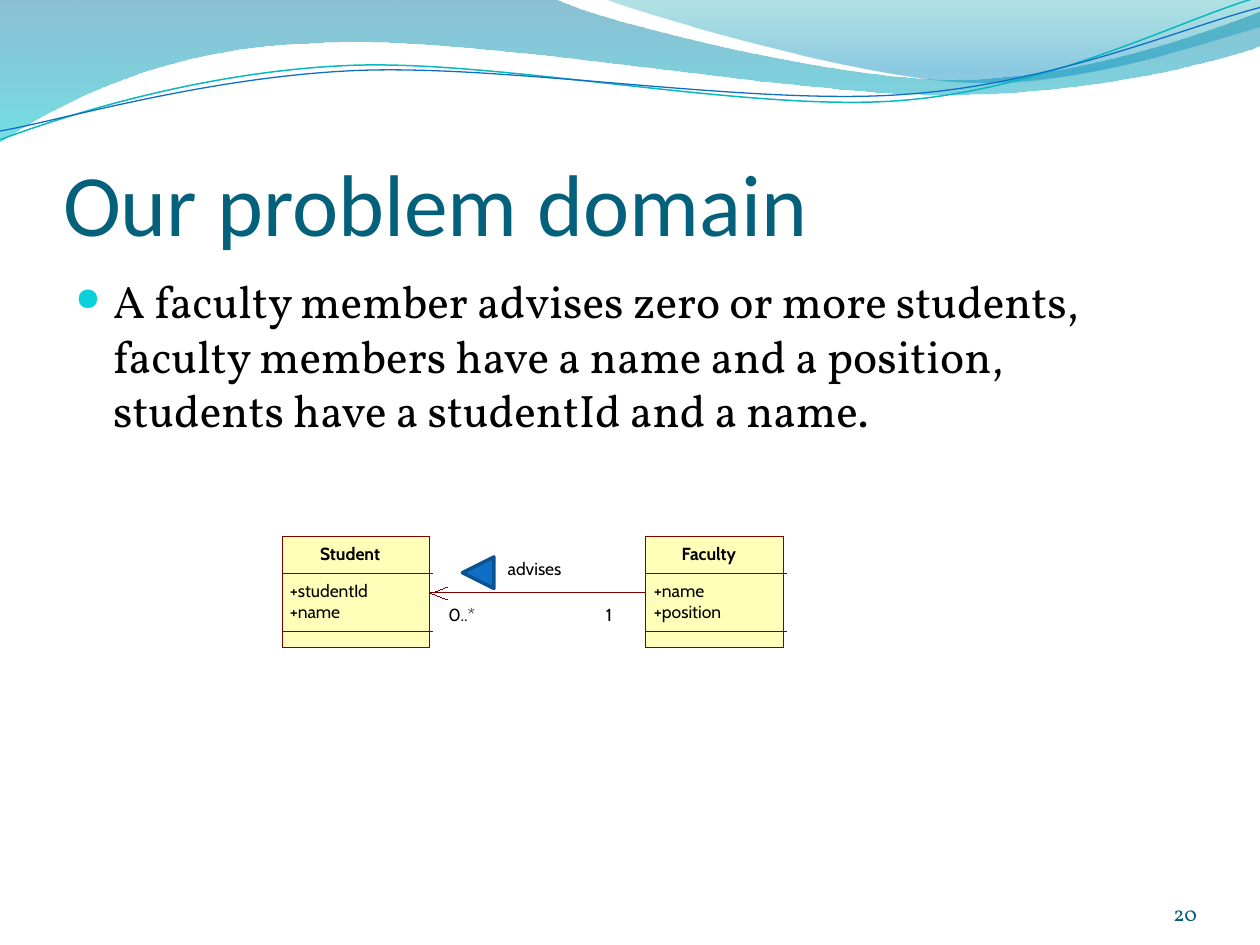
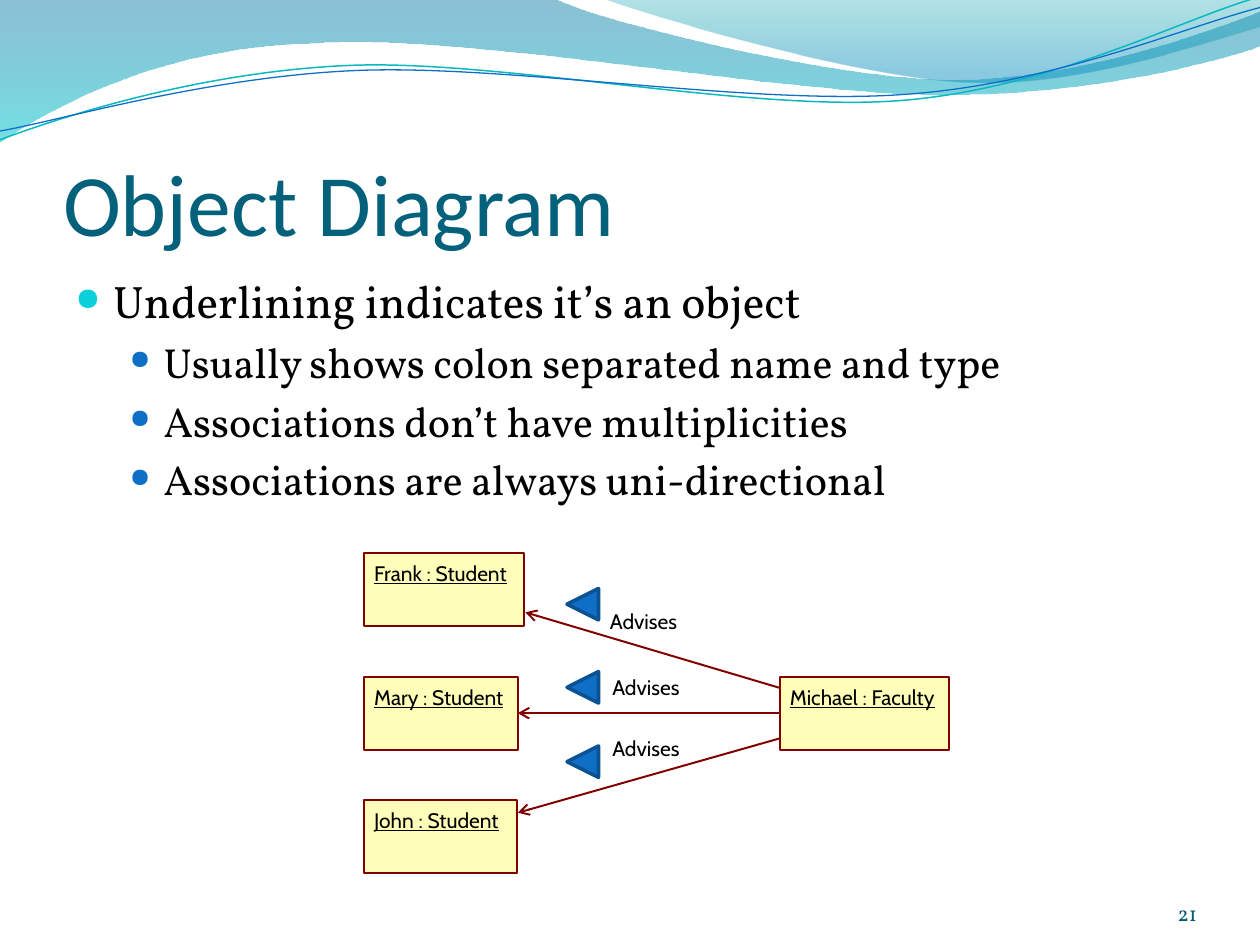
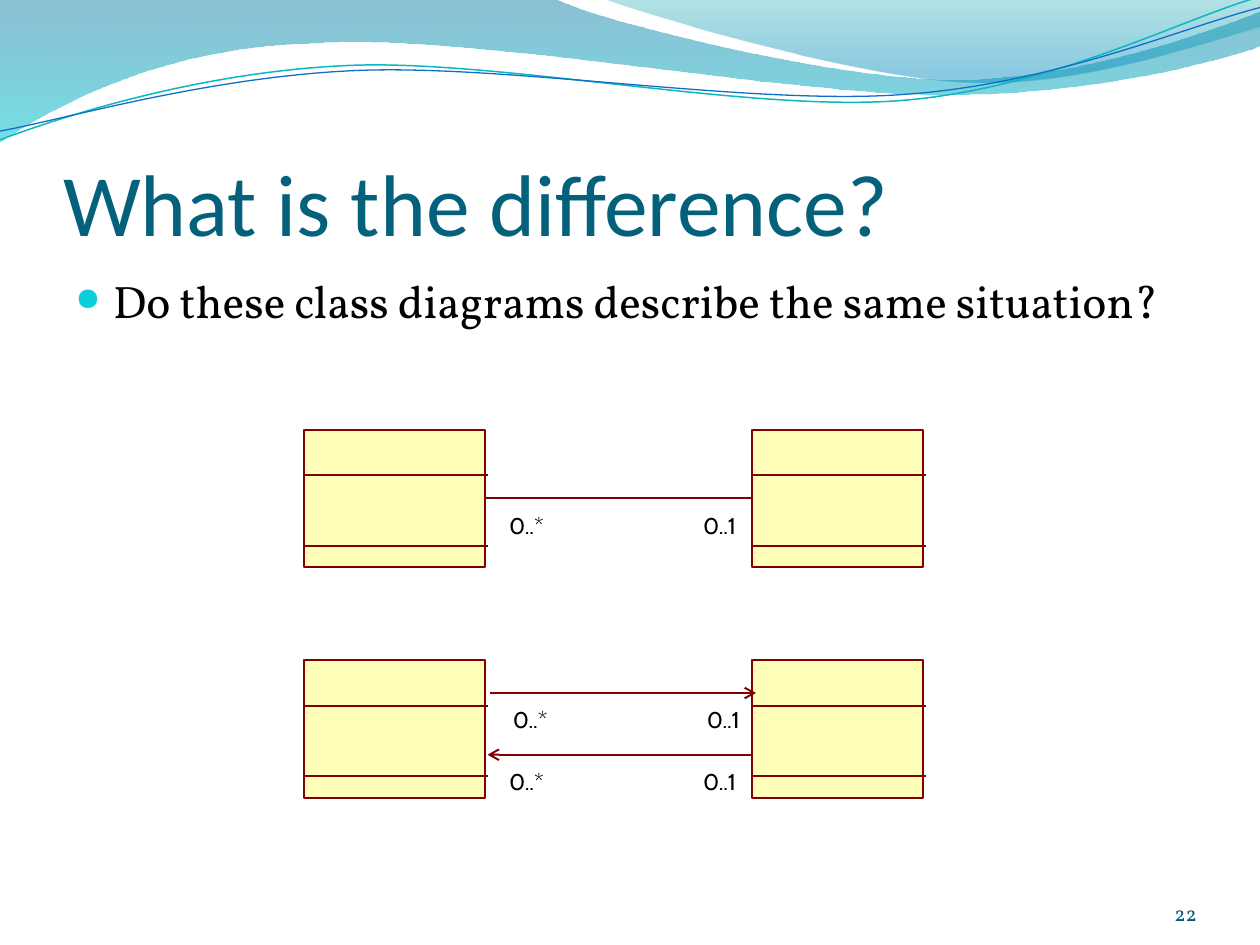
from dataclasses import dataclass
from typing import Any, NamedTuple

import lxml.etree
import pptx
import pptx.dml.color
import pptx.enum.dml
import pptx.enum.shapes
import pptx.enum.text
import pptx.oxml.ns
import pptx.util

Inches = pptx.util.Inches
Pt = pptx.util.Pt
qn = pptx.oxml.ns.qn
Anchor = pptx.enum.text.MSO_ANCHOR
Align = pptx.enum.text.PP_ALIGN
AutoSize = pptx.enum.text.MSO_AUTO_SIZE
Preset = pptx.enum.shapes.MSO_SHAPE
TOP_LEVEL, SUB_LEVEL = 0, 1
LEFT_SIDE, RIGHT_SIDE = 1, 3


# Theme
@dataclass(frozen=True)
class Theme:
    title_color: str = "04617B"
    number_color: str = "045D75"
    text_color: str = "000000"
    class_fill: str = "FFFFB9"
    class_line: str = "800000"
    pointer_fill: str = "0F6FC6"
    pointer_line: str = "0B5292"
    title_font: str = "Calibri"
    body_font: str = "Vollkorn"
    diagram_font: str = "Cabin"
    title_size: float = 50
    number_size: float = 12
    small_label: float = 10
    object_label: float = 12
    multiplicity_label: float = 13
    hairline: float = 0.01
    diagram_line: float = 1.13
    pointer_width: float = 2


THEME = Theme()


# Descriptions of the repeated elements
class Area(NamedTuple):
    left: float
    top: float
    width: float
    height: float


class Stop(NamedTuple):
    position: float
    color: str
    opacity: int


class BulletLevel(NamedTuple):
    indent: float
    hanging: float
    size: float
    color: str
    percent: int


@dataclass(frozen=True)
class Wave:
    start: tuple[float, float]
    segments: tuple[tuple[float, ...], ...]  # two numbers: line, six: curve
    stops: tuple[Stop, ...] = ()
    line_color: str = ""
    line_width: float = 0


@dataclass(frozen=True)
class Label:
    text: str
    area: Area
    size: float
    bold: bool = False
    underline: bool = False
    wrap: bool = False


@dataclass(frozen=True)
class Line:
    start: tuple[float, float]
    end: tuple[float, float]
    width: float = THEME.diagram_line
    head: bool = False
    tail: bool = False


TITLE_AREA = Area(0.5, 0.77, 9, 1.25)
BODY_AREA = Area(0.5, 2.12, 9, 4.8)
NUMBER_AREA = Area(8.67, 6.95, 0.83, 0.4)
DIVIDER_OVERHANG = 0.02
BULLET_LEVELS = (
    BulletLevel(0.3, 0.3, 26, "0BD0D9", 70),
    BulletLevel(0.7, 0.27, 24, "0F6FC6", 63),
)
WAVES = (
    Wave((0, 0), ((4.4, -0.01), (4.76, 0.17, 6.64, 0.63, 7.58, 0.63),
                  (8.53, 0.63, 9.58, 0.26, 10, 0.09), (10.01, 0.36),
                  (9.83, 0.44, 8.7, 0.76, 7.46, 0.75),
                  (6.22, 0.75, 3.82, 0.28, 2.57, 0.34),
                  (1.29, 0.36, 0.46, 0.83, -0.01, 1.13), (0, 0)),
         stops=(Stop(0, "0074A1", 45), Stop(1, "00C6CF", 55))),
    Wave((4.79, -0.01), ((5.09, 0.11, 6.82, 0.62, 7.69, 0.65),
                         (8.56, 0.69, 9.61, 0.32, 10, 0.21), (10, 0),
                         (4.79, -0.01)),
         stops=(Stop(0, "00A1A9", 30), Stop(0.8, "008BBF", 45))),
    Wave((0, 1.11), ((0.48, 0.93, 1.58, 0.57, 2.77, 0.52),
                     (3.95, 0.47, 5.93, 0.89, 7.13, 0.8),
                     (8.33, 0.71, 9.38, 0.15, 9.98, -0.02)),
         line_color="0AB8BF", line_width=0.85),
    Wave((0, 1.04), ((0.47, 0.96, 1.64, 0.61, 2.83, 0.56),
                     (4.03, 0.51, 5.97, 0.84, 7.17, 0.75),
                     (8.36, 0.67, 9.41, 0.21, 10, 0.06)),
         line_color="0F6FC6", line_width=0.75),
)


# Formatting helpers
def rgb(color: str) -> pptx.dml.color.RGBColor:
    return pptx.dml.color.RGBColor.from_string(color)


def apply_format(target: Any, values: dict[str, Any]) -> None:
    for name, value in values.items():
        setattr(target, name, value)


def lengths(area: Area) -> list[pptx.util.Length]:
    return [Inches(value) for value in area]


def format_line(line: Any, color: str, width: float) -> None:
    line.color.rgb = rgb(color)
    line.width = Pt(width)


def write_span(para: Any, text: str, font: str, size: float, color: str,
               **styles: bool) -> None:
    span = para.add_run()
    span.text = text
    apply_format(span.font, {"name": font, "size": Pt(size), **styles})
    span.font.color.rgb = rgb(color)


def set_frame(frame: Any, margins: tuple[float, ...], **values: Any) -> None:
    sides = ("margin_left", "margin_top", "margin_right", "margin_bottom")
    apply_format(frame, dict(zip(sides, map(Inches, margins))))
    apply_format(frame, values)


# Shared slide parts
def bend_segments(shape: Any, segments: tuple[tuple[float, ...], ...]) -> None:
    """Turn each run of three line steps that stands for a curve into a curve."""
    steps = iter(list(shape.element.iter(qn("a:lnTo"))))
    for segment in segments:
        first = next(steps)
        if len(segment) == 6:
            first.tag = qn("a:cubicBezTo")
            for _ in range(2):
                step = next(steps)
                first.append(step[0])
                step.getparent().remove(step)


def add_wave(page: Any, wave: Wave) -> Any:
    points = [(Inches(segment[i]), Inches(segment[i + 1]))
              for segment in wave.segments for i in range(0, len(segment), 2)]
    builder = page.shapes.build_freeform(*map(Inches, wave.start))
    builder.add_line_segments(points, close=bool(wave.stops))
    shape = builder.convert_to_shape()
    bend_segments(shape, wave.segments)
    shape.shadow.inherit = False
    if not wave.stops:
        shape.fill.background()
        format_line(shape.line, wave.line_color, wave.line_width)
        return shape
    shape.line.fill.background()
    shape.fill.gradient()
    shape.fill.gradient_angle = 270
    for stop, gradient_stop in zip(wave.stops, shape.fill.gradient_stops):
        gradient_stop.position = stop.position
        gradient_stop.color.rgb = rgb(stop.color)
    for stop, color in zip(wave.stops, shape.element.iter(qn("a:srgbClr"))):
        lxml.etree.SubElement(color, qn("a:alpha"), val=str(stop.opacity * 1000))
    return shape


def move_waves_to_layout(page: Any) -> None:
    for wave in WAVES:
        page.slide_layout.shapes.element.append(add_wave(page, wave).element)


def add_title(page: Any, text: str) -> None:
    title = page.shapes.title
    apply_format(title, dict(zip(("left", "top", "width", "height"),
                                 lengths(TITLE_AREA))))
    set_frame(title.text_frame, (0, 0.05, 0, 0), vertical_anchor=Anchor.BOTTOM,
              word_wrap=True, auto_size=AutoSize.NONE)
    para = title.text_frame.paragraphs[0]
    para.alignment = Align.LEFT
    write_span(para, text, THEME.title_font, THEME.title_size, THEME.title_color)


def add_bullet(para: Any, level: int) -> None:
    style = BULLET_LEVELS[level]
    para.level = level
    properties = para._p.get_or_add_pPr()
    properties.set("marL", str(Inches(style.indent)))
    properties.set("indent", str(-Inches(style.hanging)))
    spacing = lxml.etree.SubElement(properties, qn("a:spcBef"))
    lxml.etree.SubElement(spacing, qn("a:spcPct"), val="20000")
    color = lxml.etree.SubElement(properties, qn("a:buClr"))
    lxml.etree.SubElement(color, qn("a:srgbClr"), val=style.color)
    lxml.etree.SubElement(properties, qn("a:buSzPct"), val=str(style.percent * 1000))
    lxml.etree.SubElement(properties, qn("a:buChar"), char="●")


def add_body(page: Any, items: list[tuple[int, str]]) -> None:
    frame = page.shapes.add_textbox(*lengths(BODY_AREA)).text_frame
    frame.word_wrap = True
    for index, (level, text) in enumerate(items):
        para = frame.add_paragraph() if index else frame.paragraphs[0]
        add_bullet(para, level)
        write_span(para, text, THEME.body_font, BULLET_LEVELS[level].size,
                   THEME.text_color)


def add_number(page: Any, number: int) -> None:
    frame = page.shapes.add_textbox(*lengths(NUMBER_AREA)).text_frame
    set_frame(frame, (0, 0, 0, 0), vertical_anchor=Anchor.BOTTOM, word_wrap=True)
    para = frame.paragraphs[0]
    para.alignment = Align.RIGHT
    write_span(para, str(number), THEME.body_font, THEME.number_size,
               THEME.number_color)


def start_page(deck: Any, number: int, title: str,
               items: list[tuple[int, str]]) -> Any:
    page = deck.slides.add_slide(deck.slide_layouts[5])
    if len(deck.slides) == 1:
        move_waves_to_layout(page)
    add_title(page, title)
    add_body(page, items)
    add_number(page, number)
    return page


# Diagram parts
def add_box(page: Any, area: Area, preset: Any = Preset.RECTANGLE,
            fill: str = THEME.class_fill, line: str = THEME.class_line,
            width: float = THEME.diagram_line) -> Any:
    box = page.shapes.add_shape(preset, *lengths(area))
    box.shadow.inherit = False
    box.fill.solid()
    box.fill.fore_color.rgb = rgb(fill)
    format_line(box.line, line, width)
    return box


def add_pointer(page: Any, left: float, top: float) -> None:
    pointer = add_box(page, Area(left, top, 0.25, 0.25), Preset.ISOSCELES_TRIANGLE,
                      THEME.pointer_fill, THEME.pointer_line, THEME.pointer_width)
    pointer.rotation = 270


def add_line(page: Any, line: Line) -> Any:
    ends = [Inches(value) for value in (*line.start, *line.end)]
    connector = page.shapes.add_connector(
        pptx.enum.shapes.MSO_CONNECTOR.STRAIGHT, *ends)
    format_line(connector.line, THEME.class_line, line.width)
    properties = connector.element.spPr
    outline = properties.find(qn("a:ln"))
    for wanted, tag in ((line.head, "a:headEnd"), (line.tail, "a:tailEnd")):
        if wanted:
            lxml.etree.SubElement(outline, qn(tag), type="arrow")
    lxml.etree.SubElement(properties, qn("a:effectLst"))
    return connector


def join_boxes(page: Any, left_box: Any, right_box: Any, line: Line) -> None:
    connector = add_line(page, line)
    connector.begin_connect(left_box, RIGHT_SIDE)
    connector.end_connect(right_box, LEFT_SIDE)


def add_label(page: Any, label: Label) -> None:
    frame = page.shapes.add_textbox(*lengths(label.area)).text_frame
    set_frame(frame, (0, 0, 0, 0), word_wrap=label.wrap,
              auto_size=AutoSize.SHAPE_TO_FIT_TEXT)
    write_span(frame.paragraphs[0], label.text, THEME.diagram_font, label.size,
               THEME.text_color, bold=label.bold, underline=label.underline)


def add_class(page: Any, area: Area, dividers: tuple[float, ...],
              width: float = THEME.diagram_line) -> Any:
    box = add_box(page, area, width=width)
    right = area.left + area.width + DIVIDER_OVERHANG
    for offset in dividers:
        y = area.top + offset
        add_line(page, Line((area.left, y), (right, y), width))
    return box


def add_multiplicities(page: Any, left: float, top: float) -> None:
    size = THEME.multiplicity_label
    add_label(page, Label("0..1", Area(left + 1.54, top, 0.31, 0.22), size))
    add_label(page, Label("0..*", Area(left, top, 0.39, 0.24), size))


# Slides
def build_problem_domain(deck: Any) -> None:
    page = start_page(deck, 20, "Our problem domain", [
        (TOP_LEVEL, "A faculty member advises zero or more students, faculty "
                    "members have a name and a position, students have a "
                    "studentId and a name.")])
    add_pointer(page, 3.67, 4.42)
    size = THEME.small_label
    classes = []
    for area, name, name_left, name_width, text_left, attributes in (
            (Area(2.24, 4.26, 1.17, 0.88), "Student", 2.54, 0.71, 2.3,
             (("+studentId", 0.85), ("+name", 0.56))),
            (Area(5.12, 4.26, 1.1, 0.88), "Faculty", 5.41, 0.66, 5.19,
             (("+name", 0.56), ("+position", 0.72)))):
        classes.append(add_class(page, area, (0.29, 0.75), THEME.hairline))
        add_label(page, Label(name, Area(name_left, 4.31, name_width, 0.24), size,
                              bold=True))
        for row, (text, width) in enumerate(attributes):
            place = Area(text_left, 4.6 + 0.17 * row, width, 0.24)
            add_label(page, Label(text, place, size))
    join_boxes(page, *classes, Line((3.41, 4.7), (5.12, 4.7), THEME.hairline))
    add_wave(page, Wave((3.55, 4.66), ((3.42, 4.71), (3.55, 4.76)),
                        line_color=THEME.class_line, line_width=THEME.hairline))
    add_label(page, Label("advises", Area(4.03, 4.43, 0.8, 0.17), size, wrap=True))
    add_label(page, Label("1", Area(4.81, 4.79, 0.16, 0.24), size))
    add_label(page, Label("0..*", Area(3.56, 4.79, 0.34, 0.24), size))


def build_object_diagram(deck: Any) -> None:
    page = start_page(deck, 21, "Object Diagram", [
        (TOP_LEVEL, "Underlining indicates it’s an object"),
        (SUB_LEVEL, "Usually shows colon separated name and type"),
        (SUB_LEVEL, "Associations don’t have multiplicities"),
        (SUB_LEVEL, "Associations are always uni-directional")])
    for top in (4.67, 5.33, 5.92):
        add_pointer(page, 4.5, top)
    size = THEME.object_label
    boxes = {}
    for text, left, top, box_width, text_width in (
            ("Frank : Student", 2.89, 4.39, 1.27, 1.34),
            ("Mary : Student", 2.89, 5.37, 1.22, 1.28),
            ("John : Student", 2.89, 6.35, 1.21, 1.27),
            ("Michael : Faculty", 6.19, 5.37, 1.34, 1.44)):
        boxes[text] = add_box(page, Area(left, top, box_width, 0.58))
        place = Area(left + 0.08, top + 0.06, text_width, 0.28)
        add_label(page, Label(text, place, size, underline=True))
    add_line(page, Line((4.17, 4.86), (6.19, 5.46), head=True))
    join_boxes(page, boxes["Mary : Student"], boxes["Michael : Faculty"],
               Line((4.11, 5.66), (6.19, 5.66), head=True))
    add_line(page, Line((4.11, 6.45), (6.19, 5.86), head=True))
    for left, top in ((4.84, 4.83), (4.86, 5.35), (4.86, 5.84)):
        add_label(page, Label("Advises", Area(left, top, 0.56, 0.2), size))


def build_difference(deck: Any) -> None:
    page = start_page(deck, 22, "What is the difference?", [
        (TOP_LEVEL, "Do these class diagrams describe the same situation?")])
    pairs = [[add_class(page, Area(left, top, width, 1.09), (0.36, 0.92))
              for left, width in ((2.41, 1.44), (5.97, 1.36))]
             for top in (3.41, 5.24)]
    join_boxes(page, *pairs[0], Line((3.85, 3.96), (5.97, 3.96)))
    add_line(page, Line((3.89, 5.5), (6, 5.5), tail=True))
    add_line(page, Line((3.87, 5.99), (5.97, 5.99), head=True))
    for left, top in ((4.04, 4.06), (4.07, 5.6), (4.04, 6.09)):
        add_multiplicities(page, left, top)


def main() -> None:
    deck = pptx.Presentation()
    deck.slide_width, deck.slide_height = Inches(10), Inches(7.5)
    # The title is the only placeholder the layout needs
    for holder in list(deck.slide_layouts[5].placeholders):
        if holder.placeholder_format.idx != 0:
            holder.element.getparent().remove(holder.element)
    build_problem_domain(deck)
    build_object_diagram(deck)
    build_difference(deck)
    deck.save("out.pptx")


if __name__ == "__main__":
    main()
